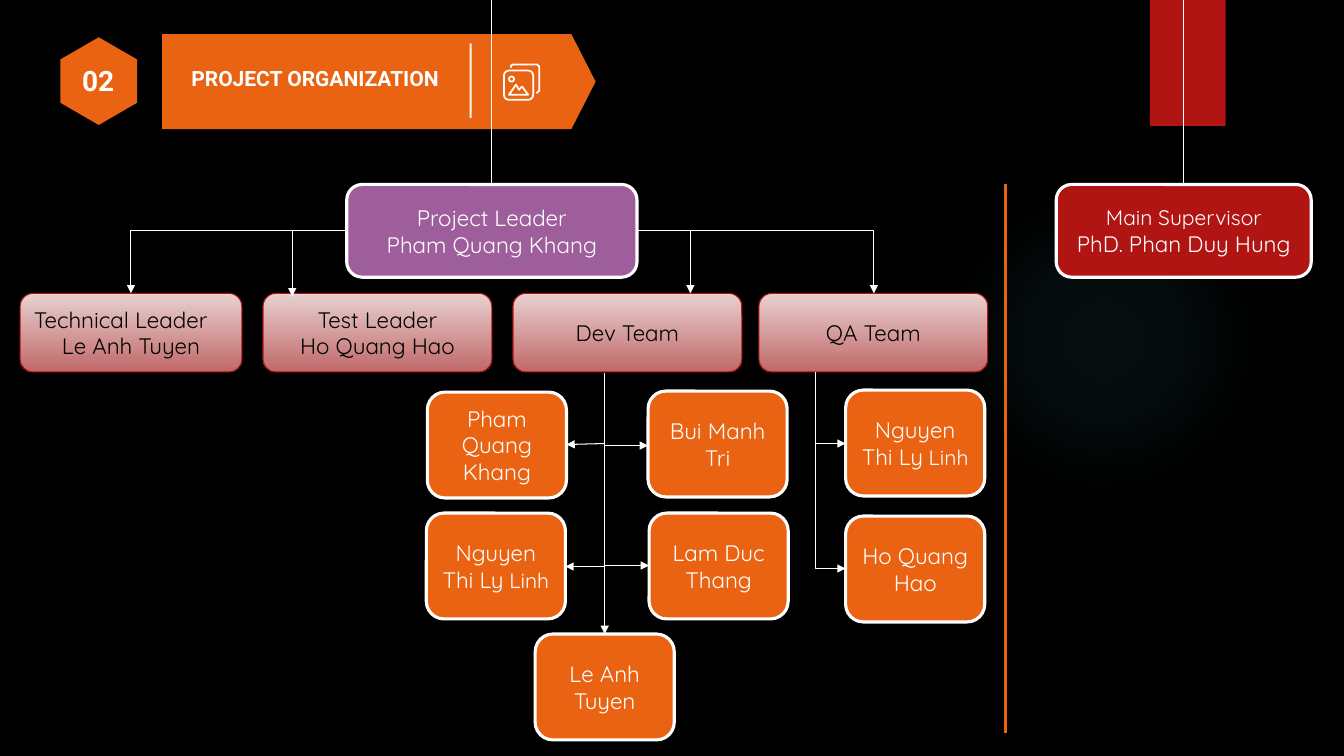
from lxml import etree
from pptx import Presentation
from pptx import util as u
from pptx.dml.color import RGBColor
from pptx.enum import shapes, text
from pptx.oxml import ns

# Content: places in inches; "|" starts 15 pt text, "\v" breaks a line
ORANGE, RED, WHITE, BLACK = "EA6312", "B01513", "FFFFFF", "000000"
PINK = ("E8D1D0", "C06969")
HEADS = [
    ("Project Leader\nPham Quang Khang", 3.44, 2.88, "9E5E9B"),
    ("|Main Supervisor\nPhD. Phan Duy Hung", 10.48, 2.53, RED),
]
TEAMS = [
    ("Technical Leader\nLe Anh Tuyen", 0.2, 2.2),
    ("Test Leader\nHo Quang Hao", 2.61, 2.27),
    ("Dev Team", 5.09, 2.27),
    ("QA Team", 7.53, 2.27),
]
MEMBERS = [
    ("Bui Manh\vTri", 6.43, 3.88),
    ("Lam Duc\vThang", 6.44, 5.09),
    ("Le Anh\nTuyen", 5.31, 6.29),
    ("Pham Quang\vKhang", 4.24, 3.89),
    ("Nguyen Thi Ly| Linh", 4.23, 5.09),
    ("Nguyen Thi Ly| Linh", 8.39, 3.87),
    ("Ho Quang Hao", 8.39, 5.12),
]
HEAD_TOP, HEAD_HIGH = 1.83, 0.92
TEAM_TOP, TEAM_HIGH = 2.91, 0.78
MEMBER_WIDE, MEMBER_HIGH = 1.38, 1.05
LEADER_LEFT, LEADER_RIGHT, LEADER_MID = 3.44, 6.32, 2.29
DEV_X, QA_X = 6, 8.09
# Elbows that leave sideways, then those that leave downwards
SIDE_ELBOWS = [
    (LEADER_RIGHT, 8.67, TEAM_TOP), (LEADER_RIGHT, 6.85, TEAM_TOP),
    (LEADER_LEFT, 1.3, TEAM_TOP), (LEADER_LEFT, 2.9, 2.94),
]
DOWN_ELBOWS = [
    (QA_X, 3.69, 8.39, 4.4), (QA_X, 4.41, 8.39, 5.64),
    (DEV_X, 3.7, 6.43, 4.42), (DEV_X, 4.4, 6.44, 5.61),
]
ARROWS = [(DEV_X, 5.62, 5.61, 5.62), (DEV_X, 5.61, DEV_X, 6.29),
          (DEV_X, 4.4, 5.62, 4.41)]
BANNER = [(1.61, 0.34), (5.67, 0.34), (5.91, 0.81), (5.67, 1.28), (1.61, 1.28)]
HEXAGON = [(0.98, 0.37), (1.36, 0.59), (1.36, 1.02),
           (0.98, 1.24), (0.6, 1.02), (0.6, 0.59)]
ICON_HILLS = [(5.05, 0.94), (5.12, 0.84), (5.15, 0.89), (5.18, 0.86), (5.24, 0.94)]
ICON_BACK = [(5.07, 0.67), (5.07, 0.65), (5.09, 0.64), (5.33, 0.64), (5.35, 0.66),
             (5.35, 0.9), (5.33, 0.92), (5.32, 0.92)]

deck = Presentation()
deck.slide_width, deck.slide_height = u.Cm(33.87), u.Cm(19.05)
page = deck.slides.add_slide(deck.slide_layouts[6])


def length(inches):
    return u.Cm(inches * 2.54)


def color(code):
    return RGBColor.from_string(code)


def paint(shape, fill=None, line=None, weight=0.75):
    shape.shadow.inherit = False
    if fill is None:
        shape.fill.background()
    elif isinstance(fill, tuple):
        shape.fill.gradient()
        shape.fill.gradient_angle = 270
        for stop, code, place in zip(shape.fill.gradient_stops, fill, (0, 1)):
            stop.color.rgb, stop.position = color(code), place
    else:
        shape.fill.solid()
        shape.fill.fore_color.rgb = color(fill)
    if line is None:
        shape.line.fill.background()
    else:
        shape.line.color.rgb, shape.line.width = color(line), u.Pt(weight)
    return shape


def add_box(kind, left, top, wide, high, **look):
    place = map(length, (left, top, wide, high))
    return paint(page.shapes.add_shape(kind, *place), **look)


def add_outline(points, close=True, **look):
    corners = [(length(x), length(y)) for x, y in points]
    builder = page.shapes.build_freeform(*corners[0])
    builder.add_line_segments(corners[1:], close=close)
    return paint(builder.convert_to_shape(), **look)


def write(box, words, font="Quicksand", size=16, ink=WHITE, bold=False,
          align=text.PP_ALIGN.CENTER, anchor=text.MSO_ANCHOR.MIDDLE):
    frame = box.text_frame
    frame.word_wrap, frame.vertical_anchor = True, anchor
    for index, line in enumerate(words.split("\n")):
        para = frame.add_paragraph() if index else frame.paragraphs[0]
        para.alignment = align
        normal, _, small = line.partition("|")
        para.text = normal
        spans = [(span, size) for span in para.runs]
        if small:
            span = para.add_run()
            span.text = small
            spans.append((span, 15))
        for span, points in spans:
            span.font.name, span.font.size = font, u.Pt(points)
            span.font.bold, span.font.color.rgb = bold, color(ink)


def add_label(words, left, top, wide, high, **look):
    box = page.shapes.add_textbox(*map(length, (left, top, wide, high)))
    write(box, words, font="Roboto", bold=True, anchor=text.MSO_ANCHOR.TOP, **look)


def add_line(x1, y1, x2, y2, ink=WHITE, weight=0.75, arrow=False, elbow=None):
    if elbow == "down":  # a quarter turn about the centre swaps the two sides
        mid_x, mid_y, half_x, half_y = (x1 + x2) / 2, (y1 + y2) / 2, (x2 - x1) / 2, (y2 - y1) / 2
        x1, y1, x2, y2 = mid_x + half_y, mid_y - half_x, mid_x - half_y, mid_y + half_x
    kind = shapes.MSO_CONNECTOR.ELBOW if elbow else shapes.MSO_CONNECTOR.STRAIGHT
    line = page.shapes.add_connector(kind, *map(length, (x1, y1, x2, y2)))
    line.line.color.rgb, line.line.width = color(ink), u.Pt(weight)
    props = line._element.spPr
    if elbow:
        props.find(ns.qn("a:prstGeom")).set("prst", "bentConnector2")
    if elbow == "down":
        props.find(ns.qn("a:xfrm")).set("rot", "16200000")
    if arrow:
        etree.SubElement(props.find(ns.qn("a:ln")), ns.qn("a:tailEnd"), type="triangle")
    etree.SubElement(props, ns.qn("a:effectLst"))


def add_glow(left, top, side, code, stops):
    glow = add_box(shapes.MSO_SHAPE.OVAL, left, top, side, side, fill=(code, code))
    grad = glow._element.spPr.find(ns.qn("a:gradFill"))
    for child in list(grad):
        grad.remove(child)
    stop_list = etree.SubElement(grad, ns.qn("a:gsLst"))
    for place, alpha in stops:
        stop = etree.SubElement(stop_list, ns.qn("a:gs"), pos=str(place * 1000))
        tint = etree.SubElement(stop, ns.qn("a:srgbClr"), val=code)
        etree.SubElement(tint, ns.qn("a:alpha"), val=str(alpha * 1000))
    ring = etree.SubElement(grad, ns.qn("a:path"), path="circle")
    etree.SubElement(ring, ns.qn("a:fillToRect"), l="50000", t="50000", r="50000", b="50000")


# Background
page.background.fill.solid()
page.background.fill.fore_color.rgb = color(BLACK)
add_glow(9.41, 1.83, 3.08, "50B9C1", [(0, 7), (36, 6), (69, 0), (100, 0)])
add_box(shapes.MSO_SHAPE.RECTANGLE, 11.41, 0, 0.75, 1.25, fill=RED)

# Title banner with its icon and number
add_outline(BANNER, fill=ORANGE)
add_box(shapes.MSO_SHAPE.RECTANGLE, 4.66, 0.43, 0.02, 0.74, fill="F5F5F5")
add_box(shapes.MSO_SHAPE.ROUNDED_RECTANGLE, 5, 0.7, 0.29, 0.29, line=WHITE, weight=1.25)
add_box(shapes.MSO_SHAPE.OVAL, 5.05, 0.76, 0.05, 0.05, line=WHITE, weight=1.25)
add_outline(ICON_HILLS, line=WHITE, weight=1.25)
add_outline(ICON_BACK, close=False, line=WHITE, weight=1.25)
add_label("PROJECT ORGANIZATION", 1.8, 0.6, 2.85, 0.35, size=15, align=text.PP_ALIGN.LEFT)
add_outline(HEXAGON, fill=ORANGE)
add_label("02", 0.7, 0.58, 0.55, 0.44, size=20)

# Chart boxes
ROUNDED = shapes.MSO_SHAPE.ROUNDED_RECTANGLE
for words, left, wide, fill in HEADS:
    write(add_box(ROUNDED, left, HEAD_TOP, wide, HEAD_HIGH,
                  fill=fill, line=WHITE, weight=2.25), words)
add_line(9.98, 1.83, 9.98, 7.27, ink=ORANGE, weight=2.25)
for index, (words, left, wide) in enumerate(TEAMS):
    box = add_box(ROUNDED, left, TEAM_TOP, wide, TEAM_HIGH, fill=PINK, line=RED)
    write(box, words, ink=BLACK)
    if index == 0:
        box.text_frame.paragraphs[0].alignment = text.PP_ALIGN.LEFT
for words, left, top in MEMBERS:
    write(add_box(ROUNDED, left, top, MEMBER_WIDE, MEMBER_HIGH,
                  fill=ORANGE, line=WHITE, weight=2.25), words)

# Connectors
for start, end, bottom in SIDE_ELBOWS:
    add_line(start, LEADER_MID, end, bottom, arrow=True, elbow="side")
for ends in DOWN_ELBOWS:
    add_line(*ends, arrow=True, elbow="down")
for ends in ARROWS:
    add_line(*ends, arrow=True)
for _, left, wide, _ in HEADS:
    add_line(left + wide / 2, 0, left + wide / 2, HEAD_TOP)

deck.save("out.pptx")
